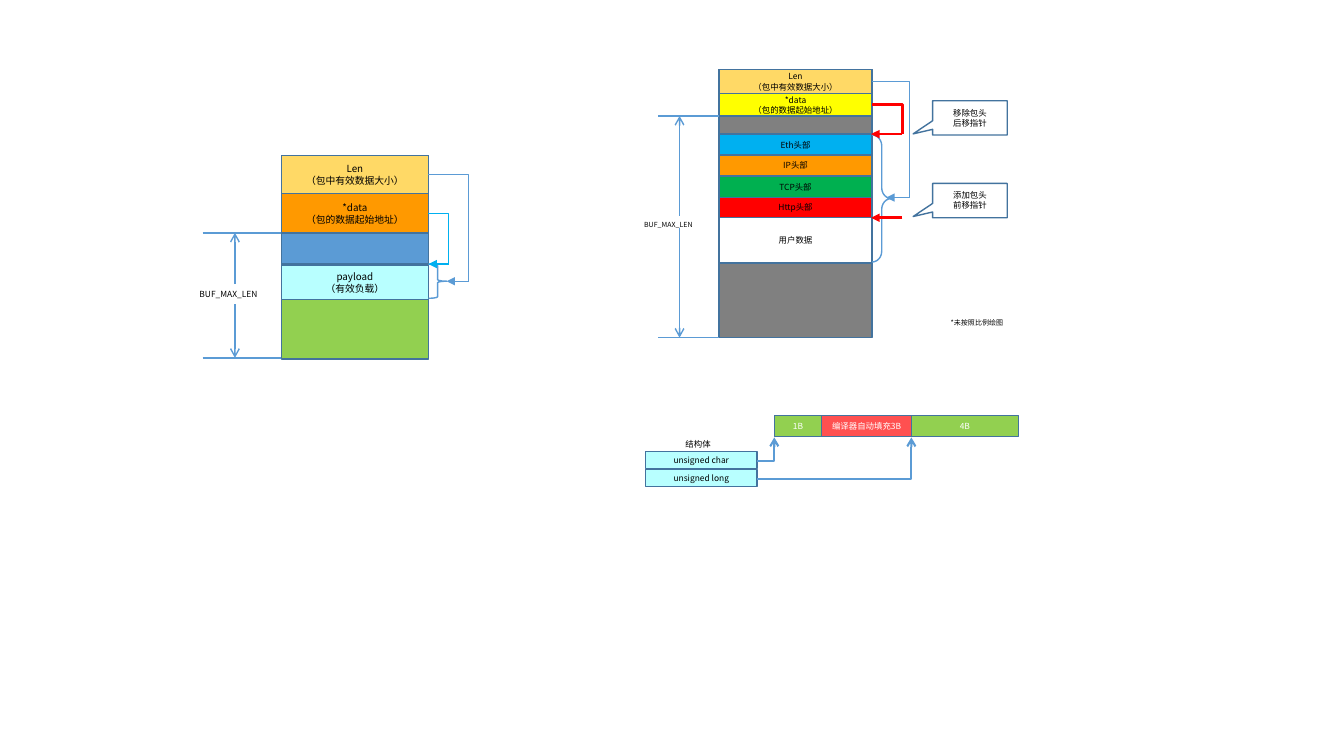
from dataclasses import dataclass
from typing import Any

from lxml.etree import SubElement
from pptx import Presentation
from pptx.dml.color import RGBColor
from pptx.enum.shapes import MSO_CONNECTOR as CONN, MSO_SHAPE as SHAPE
from pptx.enum.text import MSO_ANCHOR as ANCHOR, MSO_AUTO_SIZE as AUTO, PP_ALIGN as ALIGN
from pptx.oxml.ns import qn
from pptx.util import Pt

PX = 9144  # EMU per px, 100 px to the inch
FONT = "Noto Sans CJK SC"
BLUE, EDGE, BLACK, WHITE = "5B9BD5", "43739E", "000000", "FFFFFF"
GOLD, ORANGE, GREEN, CYAN = "FFD966", "FF9900", "92D050", "B8FFFF"
SKY, RED, GRAY = "00B0F0", "FF0000", "808080"
LEN_TEXT = "Len\n（包中有效数据大小）"
DATA_TEXT = "*data\n（包的数据起始地址）"


def rgb(color):
    return RGBColor.from_string(color)


def write(tf, text, size, color=BLACK, align=ALIGN.CENTER):
    tf.text = text
    for p in tf.paragraphs:
        p.alignment = align
        p.font.size = Pt(size)
        p.font.name = FONT
        p.font.color.rgb = rgb(color)
        def_rpr = p._p.find(".//" + qn("a:defRPr"))
        SubElement(def_rpr, qn("a:ea")).set("typeface", FONT)


@dataclass
class Region:
    """Draws into one group, in px from the region's top left corner."""
    shapes: Any
    x: int
    y: int

    def emu(self, x, y):
        return (self.x + x) * PX, (self.y + y) * PX

    def shape(self, kind, x, y, w, h, fill=None, text="", size=6, color=BLACK,
              edge=EDGE, adjust=()):
        sp = self.shapes.add_shape(kind, *self.emu(x, y), w * PX, h * PX)
        sp.shadow.inherit = False
        if fill:
            sp.fill.solid()
            sp.fill.fore_color.rgb = rgb(fill)
        else:
            sp.fill.background()
        sp.line.color.rgb = rgb(edge)
        sp.line.width = Pt(1)
        for i, value in enumerate(adjust):
            sp.adjustments[i] = value
        if text:
            sp.text_frame.vertical_anchor = ANCHOR.MIDDLE
            write(sp.text_frame, text, size, color)

    def stack(self, w, rows, size):
        """Full-width cells, each given as top, height, fill and text."""
        for top, h, fill, text in rows:
            self.shape(SHAPE.RECTANGLE, 0, top, w, h, fill, text, size)

    def label(self, x, y, w, h, text, size, wrap=True):
        tf = self.shapes.add_textbox(*self.emu(x, y), w * PX, h * PX).text_frame
        tf.word_wrap = wrap
        tf.auto_size = AUTO.SHAPE_TO_FIT_TEXT
        write(tf, text, size, align=ALIGN.LEFT)

    def line(self, x1, y1, x2, y2, color=BLUE, width=1, tip=None, kind=CONN.STRAIGHT):
        c = self.shapes.add_connector(kind, *self.emu(x1, y1), *self.emu(x2, y2))
        c.line.color.rgb = rgb(color)
        c.line.width = Pt(width)
        sp_pr = c.element.spPr
        if tip:
            SubElement(sp_pr.find(qn("a:ln")), qn("a:tailEnd")).set("type", tip)
        SubElement(sp_pr, qn("a:effectLst"))
        return c

    def elbow(self, *ends, **style):
        """Runs across to the end's x, then up or down to the end."""
        c = self.line(*ends, kind=CONN.ELBOW, **style)
        av = c.element.spPr.find(".//" + qn("a:avLst"))
        gd = SubElement(av, qn("a:gd"))
        gd.set("name", "adj1")
        gd.set("fmla", "val 100000")

    def dimension(self, left, x, top, bottom, label_x, label_y, label_h, size):
        """Measures BUF_MAX_LEN between two extension lines."""
        for y in (top, bottom):
            self.line(left, y, 0, y)
        self.label(label_x, label_y, 89, label_h, "BUF_MAX_LEN", size)
        self.line(x, label_y, x, top, tip="arrow")
        self.line(x, label_y + label_h, x, bottom, tip="arrow")


def draw_buffer(s, x, y, w, h):
    """Plain packet buffer; the box is its stack of cells."""
    r = Region(s.shapes.add_group_shape().shapes, x, y)
    r.stack(w, [
        (0, h, BLUE, ""),
        (0, 39, GOLD, LEN_TEXT),
        (38, 39, ORANGE, DATA_TEXT),
        (108, h - 108, GREEN, ""),
        (109, 34, CYAN, "payload\n（有效负载）"),
    ], size=7)
    r.dimension(-78, -46, 77, h - 1, -91, 128, 20, size=6)
    r.shape(SHAPE.RIGHT_BRACE, w, 108, 18, 34, edge=BLUE)
    r.elbow(w, 58, w + 20, 108, color=SKY)
    r.line(w + 20, 108, w, 108, color=SKY, tip="triangle")
    r.elbow(w, 19, w + 40, 125)
    r.line(w + 40, 125, w + 18, 125, tip="triangle")


def draw_headers(s, x, y, w, h):
    """Packet buffer with protocol headers; the box is its stack of cells."""
    r = Region(s.shapes.add_group_shape().shapes, x, y)
    r.stack(w, [
        (0, h, GRAY, ""),
        (0, 24, GOLD, LEN_TEXT),
        (24, 22, "FFFF00", DATA_TEXT),
        (126, 21, RED, "Http头部"),
        (147, 45, WHITE, "用户数据"),
        (106, 21, "00B050", "TCP头部"),
        (84, 21, ORANGE, "IP头部"),
        (64, 21, SKY, "Eth头部"),
    ], size=6)
    r.dimension(-60, -39, 46, h, -84, 145, 12, size=5)
    r.shape(SHAPE.RIGHT_BRACE, w, 65, 19, 126, edge=BLUE, adjust=(0.56, 0.5))
    r.elbow(w, 12, w + 37, 127)
    r.line(w + 37, 127, w + 14, 127, tip="triangle")
    r.elbow(w, 35, w + 30, 64, color=RED, width=2)
    for top in (64, 147):
        r.line(w + 30, top, w - 1, top, color=RED, width=2, tip="triangle")
    for top, text in ((31, "移除包头\n后移指针"), (113, "添加包头\n前移指针")):
        r.shape(SHAPE.RECTANGULAR_CALLOUT, w + 60, top, 74, 34, text=text,
                adjust=(-0.761, 0.466))
    r.label(w + 68, 242, 89, 16, "*未按照比例绘图", 5)


def draw_padding(s, x, y, w, h):
    """Struct members and their padded layout; the box is the byte row."""
    r = Region(s.shapes.add_group_shape().shapes, x, y)
    left = 0
    starts = []
    for cell_w, fill, text in ((47, GREEN, "1B"), (89, "FF5050", "编译器自动填充3B"),
                               (w - 136, GREEN, "4B")):
        r.shape(SHAPE.RECTANGLE, left, 0, cell_w, h, fill, text, color=WHITE)
        starts.append(left)
        left += cell_w
    r.label(-98, 19, 62, 18, "结构体", 6, wrap=False)
    members = (("unsigned char", starts[0]), ("unsigned long", starts[2]))
    for i, (text, target) in enumerate(members):
        top = 36 + 18 * i
        r.shape(SHAPE.RECTANGLE, -128, top, 111, 17, CYAN, text)
        r.elbow(-17, top + 9, target, h + 1, width=1.5, tip="arrow")


def main():
    prs = Presentation()
    prs.slide_width, prs.slide_height = 1333 * PX, 750 * PX
    s = prs.slides.add_slide(prs.slide_layouts[6])
    draw_buffer(s, 279, 154, 146, 202)
    draw_padding(s, 768, 412, 242, 21)
    draw_headers(s, 713, 69, 152, 266)
    prs.save("out.pptx")


if __name__ == "__main__":
    main()
